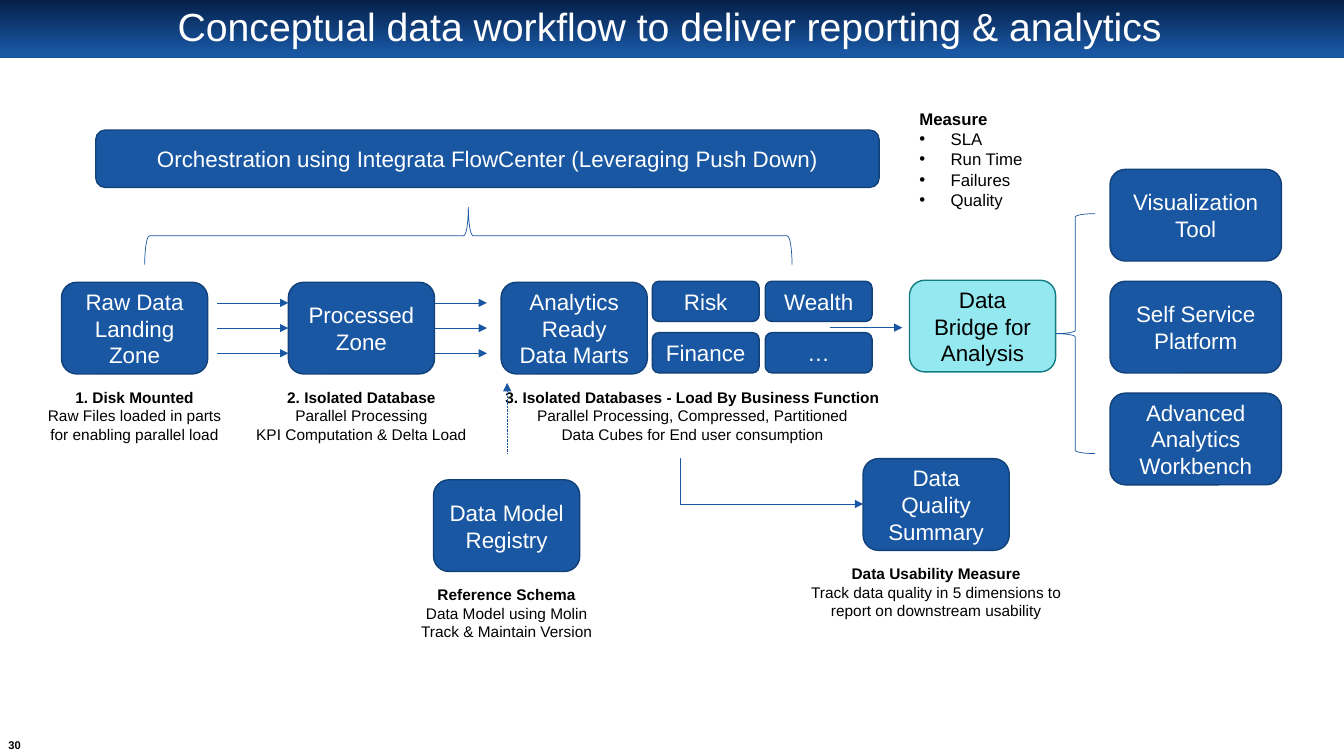
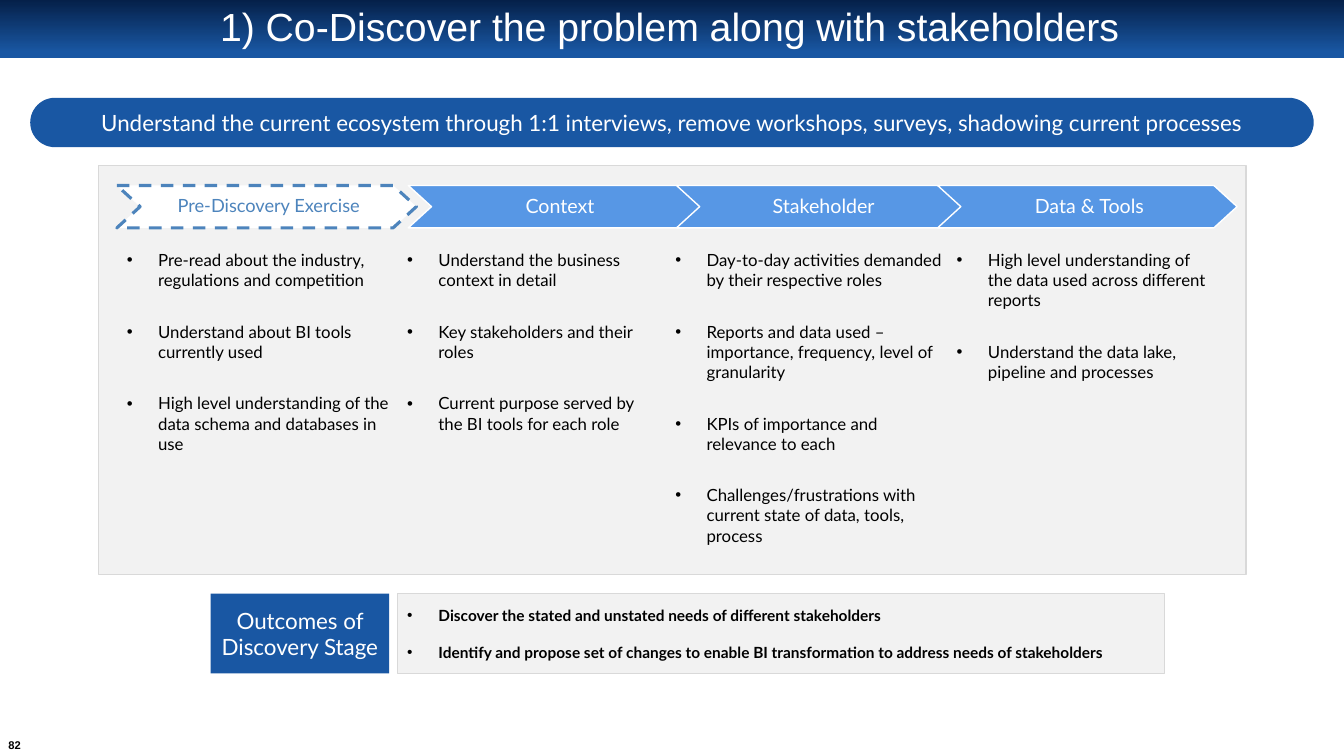
from lxml.etree import SubElement
from pptx import Presentation
from pptx.dml.color import RGBColor
from pptx.enum.dml import MSO_LINE
from pptx.enum.shapes import MSO_CONNECTOR, MSO_SHAPE
from pptx.enum.text import MSO_ANCHOR, PP_ALIGN
from pptx.oxml.ns import qn
from pptx.util import Inches, Pt

NAVY = RGBColor(0x05, 0x20, 0x49)
BLUE = RGBColor(0x19, 0x57, 0xA3)
EDGE = RGBColor(0x12, 0x40, 0x79)
SKY = RGBColor(0x57, 0x97, 0xE5)
STEEL = RGBColor(0x4D, 0x84, 0xBC)
AQUA = RGBColor(0x93, 0xE9, 0xEF)
TEAL = RGBColor(0x13, 0x7B, 0x82)
PALE = RGBColor(0xF2, 0xF2, 0xF2)
GREY = RGBColor(0xD9, 0xD9, 0xD9)
WHITE = RGBColor(0xFF, 0xFF, 0xFF)
BLACK = RGBColor(0, 0, 0)
NODE_W, NODE_H = 1.45, 0.91


# Shared helpers
def scale(*nums):
    return [Inches(num) for num in nums]


def write(shape, text, size, color=WHITE, font="Arial", bold=False,
          align=PP_ALIGN.CENTER, anchor=MSO_ANCHOR.MIDDLE):
    frame = shape.text_frame
    frame.text = text
    frame.word_wrap = True
    frame.vertical_anchor = anchor
    for par in frame.paragraphs:
        par.alignment = align
        for run in par.runs:
            run.font.size = Pt(size)
            run.font.name = font
            run.font.bold = bold
            run.font.color.rgb = color
    return frame


def note(slide, box, text, size, **style):
    shape = slide.shapes.add_textbox(*scale(*box))
    return write(shape, text, size, **{"color": BLACK, **style})


def paint(shape, fill, line=None, width=1):
    shape.shadow.inherit = False
    if fill is None:
        shape.fill.background()
    else:
        shape.fill.solid()
        shape.fill.fore_color.rgb = fill
    if line is None:
        shape.line.fill.background()
    else:
        shape.line.color.rgb = line
        shape.line.width = Pt(width)


def block(slide, kind, box, fill, line=None, width=1):
    shape = slide.shapes.add_shape(kind, *scale(*box))
    paint(shape, fill, line, width)
    return shape


def bullet(pars, gap=0):
    for spot, par in enumerate(pars):
        props = par._p.get_or_add_pPr()
        props.set("marL", str(Inches(0.31)))
        props.set("indent", str(-Inches(0.31)))
        SubElement(props, qn("a:buFont")).set("typeface", "Arial")
        SubElement(props, qn("a:buChar")).set("char", "•")
        if spot and gap:
            par.space_before = Pt(gap)


def arrow(slide, start, end, kind=MSO_CONNECTOR.STRAIGHT):
    line = slide.shapes.add_connector(kind, *scale(*start, *end))
    line.line.color.rgb = BLUE
    line.line.width = Pt(0.5)
    SubElement(line.line._get_or_add_ln(), qn("a:tailEnd")).set("type", "triangle")
    SubElement(line._element.spPr, qn("a:effectLst"))
    return line


def node(slide, box, text, fill=BLUE, line=EDGE, color=WHITE):
    shape = block(slide, MSO_SHAPE.ROUNDED_RECTANGLE, box, fill, line)
    write(shape, text, 16, color)
    return shape


def brace(slide, box, turn=0):
    shape = block(slide, MSO_SHAPE.LEFT_BRACE, box, None, BLUE, 0.5)
    shape.rotation = turn


def start(deck, title, number):
    """Blank slide with title band and page number."""
    slide = deck.slides.add_slide(deck.slide_layouts[6])
    band = block(slide, MSO_SHAPE.RECTANGLE, (0, 0, 13.33, 0.58), BLUE)
    band.fill.gradient()
    band.fill.gradient_angle = 270
    for stop, color, place in zip(band.fill.gradient_stops, (NAVY, BLUE), (0, 0.9)):
        stop.color.rgb = color
        stop.position = place
    head = note(slide, (0.66, 0.06, 11.96, 0.45), title, 28, color=WHITE)
    head.paragraphs[0].line_spacing = 0.9
    foot = note(slide, (0.02, 7.3, 0.25, 0.19), number, 8, bold=True)
    foot.margin_left = foot.margin_right = foot.margin_top = foot.margin_bottom = 0
    return slide


# Workflow slide
def stage(slide, left, top, text, label, wide=2.89, mid=None):
    """Node with a caption centred below it."""
    shape = node(slide, (left, top, NODE_W, NODE_H), text)
    mid = mid or left + NODE_W / 2
    frame = note(slide, (mid - wide / 2, top + 1, wide, 0.66), label, 11,
                 anchor=MSO_ANCHOR.TOP)
    frame.paragraphs[0].runs[0].font.bold = True
    return shape


def flow(slide, left, top):
    """Landing zone, processed zone, data marts and bridge."""
    stage(slide, left, top, "Raw Data Landing Zone",
          "1. Disk Mounted\nRaw Files loaded in parts for enabling parallel load", 2.05)
    done = stage(slide, left + 2.25, top, "Processed Zone",
                 "2. Isolated Database\nParallel Processing\nKPI Computation & Delta Load")
    stage(slide, left + 4.36, top, "Analytics Ready Data Marts",
          "3. Isolated Databases - Load By Business Function\n"
          "Parallel Processing, Compressed, Partitioned\n"
          "Data Cubes for End user consumption", 4.14, left + 6.26)
    for spot, name in enumerate(("Risk", "Wealth", "Finance", "…")):
        row, col = divmod(spot, 2)
        node(slide, (left + 5.86 + col * 1.12, top - 0.01 + row * 0.51, 1.06, 0.4), name)
    node(slide, (left + 8.41, top - 0.02, NODE_W, NODE_H),
         "Data Bridge for Analysis", AQUA, TEAL, BLACK)
    # Three parallel loads on each side of the processed zone
    for step in (-1, 0, 1):
        high = top + NODE_H / 2 + step * 0.25
        load = arrow(slide, (left + 1.54, high), (left + 2.25, high))
        send = arrow(slide, (left + 3.7, high), (left + 4.22, high))
        if step == 0:
            load.end_connect(done, 1)
            send.begin_connect(done, 3)
    arrow(slide, (left + 7.62, top + 0.45), (left + 8.34, top + 0.45))


def control(slide, left, top):
    """Orchestration bar, its brace and the measures."""
    node(slide, (left, top, 7.77, 0.57),
         "Orchestration using Integrata FlowCenter (Leveraging Push Down)")
    brace(slide, (left + 3.41, top - 2.16, 0.57, 6.42), 90)
    frame = note(slide, (left + 8.07, top - 0.26, 1.24, 1.11),
                 "Measure\nSLA\nRun Time\nFailures\nQuality", 12,
                 align=PP_ALIGN.LEFT, anchor=MSO_ANCHOR.TOP)
    frame.paragraphs[0].runs[0].font.bold = True
    bullet(frame.paragraphs[1:])


def model(slide, left, top):
    """Registry that feeds the marts."""
    stage(slide, left, top, "Data Model Registry",
          "Reference Schema\nData Model using Molin\nTrack & Maintain Version")
    line = arrow(slide, (left + 0.73, top - 0.26), (left + 0.73, top - 0.96))
    line.line.dash_style = MSO_LINE.ROUND_DOT


def check(slide, left, top):
    """Quality summary fed from the marts."""
    stage(slide, left, top, "Data Quality Summary",
          "Data Usability Measure\n"
          "Track data quality in 5 dimensions to report on downstream usability")
    bend = arrow(slide, (left - 1.82, top), (left, top + 0.45), MSO_CONNECTOR.ELBOW)
    guide = SubElement(bend._element.spPr.find(qn("a:prstGeom")).find(qn("a:avLst")),
                       qn("a:gd"))
    guide.set("name", "adj1")
    guide.set("fmla", "val 400")


def tools(slide, left, top):
    """Brace and the three delivery tools."""
    brace(slide, (left, top + 0.44, 0.39, 2.38))
    names = ("Visualization\nTool", "Self Service Platform", "Advanced Analytics Workbench")
    for row, name in enumerate(names):
        node(slide, (left + 0.54, top + row * 1.11, 1.7, NODE_H), name)


# Discovery slide
def step(slide, left, top, wide, text, first):
    """Notched arrow heading."""
    high, tip = 0.42, 0.23
    form = slide.shapes.build_freeform(*scale(left, top))
    points = ((wide - tip, 0), (wide, high / 2), (wide - tip, high), (0, high), (tip, high / 2))
    form.add_line_segments([scale(left + x, top + y) for x, y in points])
    shape = form.convert_to_shape()
    if first:
        paint(shape, WHITE, STEEL, 2.25)
        shape.line.dash_style = MSO_LINE.DASH
    else:
        paint(shape, SKY, WHITE)
    frame = write(shape, text, 13 if first else 14, STEEL if first else WHITE, "Lato")
    frame.margin_left, frame.margin_right = scale(0.27, 0.23)
    frame.margin_top = frame.margin_bottom = Inches(0.02)
    frame.paragraphs[0].line_spacing = 0.9


def panel(slide, left, top):
    """Grey panel with one column per topic; the dashed step lies on top."""
    block(slide, MSO_SHAPE.RECTANGLE, (left, top, 11.38, 4.06), PALE, GREY)
    # heading, step offset and width, list offset and width, items
    topics = (
        ("Context", 3.07, 2.97, 2.96, 2.72,
         "Understand the business context in detail\n"
         "Key stakeholders and their roles\n"
         "Current purpose served by the BI tools for each role"),
        ("Stakeholder", 5.73, 2.88, 5.62, 2.87,
         "Day-to-day activities demanded by their respective roles\n"
         "Reports and data used – importance, frequency, level of granularity\n"
         "KPIs of importance and relevance to each\n"
         "Challenges/frustrations with current state of data, tools, process"),
        ("Data & Tools", 8.32, 2.97, 8.41, 2.72,
         "High level understanding of the data used across different reports\n"
         "Understand the data lake, pipeline and processes"),
        ("Pre-Discovery Exercise", 0.18, 2.97, 0.18, 2.81,
         "Pre-read about the industry, regulations and competition\n"
         "Understand about BI tools currently used\n"
         "High level understanding of the data schema and databases in use"),
    )
    for name, shift, wide, inset, room, items in topics:
        step(slide, left + shift, top + 0.2, wide, name, name.startswith("Pre"))
        frame = note(slide, (left + inset, top + 0.79, room, 3.06), items, 12,
                     font="Lato", align=PP_ALIGN.LEFT, anchor=MSO_ANCHOR.TOP)
        bullet(frame.paragraphs, 22.4)


def result(slide, left, top):
    """Outcome label and list."""
    label = block(slide, MSO_SHAPE.RECTANGLE, (left, top, 1.77, 0.79), BLUE)
    write(label, "Outcomes of Discovery Stage", 16, font="Lato")
    goals = block(slide, MSO_SHAPE.RECTANGLE, (left + 1.85, top, 7.61, 0.79), PALE, GREY)
    frame = write(goals, "Discover the stated and unstated needs of different stakeholders\n"
                  "Identify and propose set of changes to enable BI transformation "
                  "to address needs of stakeholders",
                  11, BLACK, "Lato", True, PP_ALIGN.LEFT)
    bullet(frame.paragraphs, 13.2)


def banner(slide, left, top):
    shape = block(slide, MSO_SHAPE.ROUNDED_RECTANGLE, (left, top, 12.73, 0.49), BLUE)
    shape.adjustments[0] = 0.5
    write(shape, "Understand the current ecosystem through 1:1 interviews, remove workshops, "
          "surveys, shadowing current processes", 16, font="Lato")


def main():
    deck = Presentation()
    deck.slide_width, deck.slide_height = scale(13.33, 7.5)

    slide = start(deck, "Conceptual data workflow to deliver reporting & analytics", "30")
    control(slide, 0.95, 1.29)
    flow(slide, 0.61, 2.8)
    model(slide, 4.3, 4.76)
    check(slide, 8.56, 4.55)
    tools(slide, 10.47, 1.68)

    slide = start(deck, "1) Co-Discover the problem along with stakeholders", "82")
    banner(slide, 0.3, 0.97)
    panel(slide, 0.98, 1.64)
    result(slide, 2.09, 5.89)
    deck.save("out.pptx")


if __name__ == "__main__":
    main()
